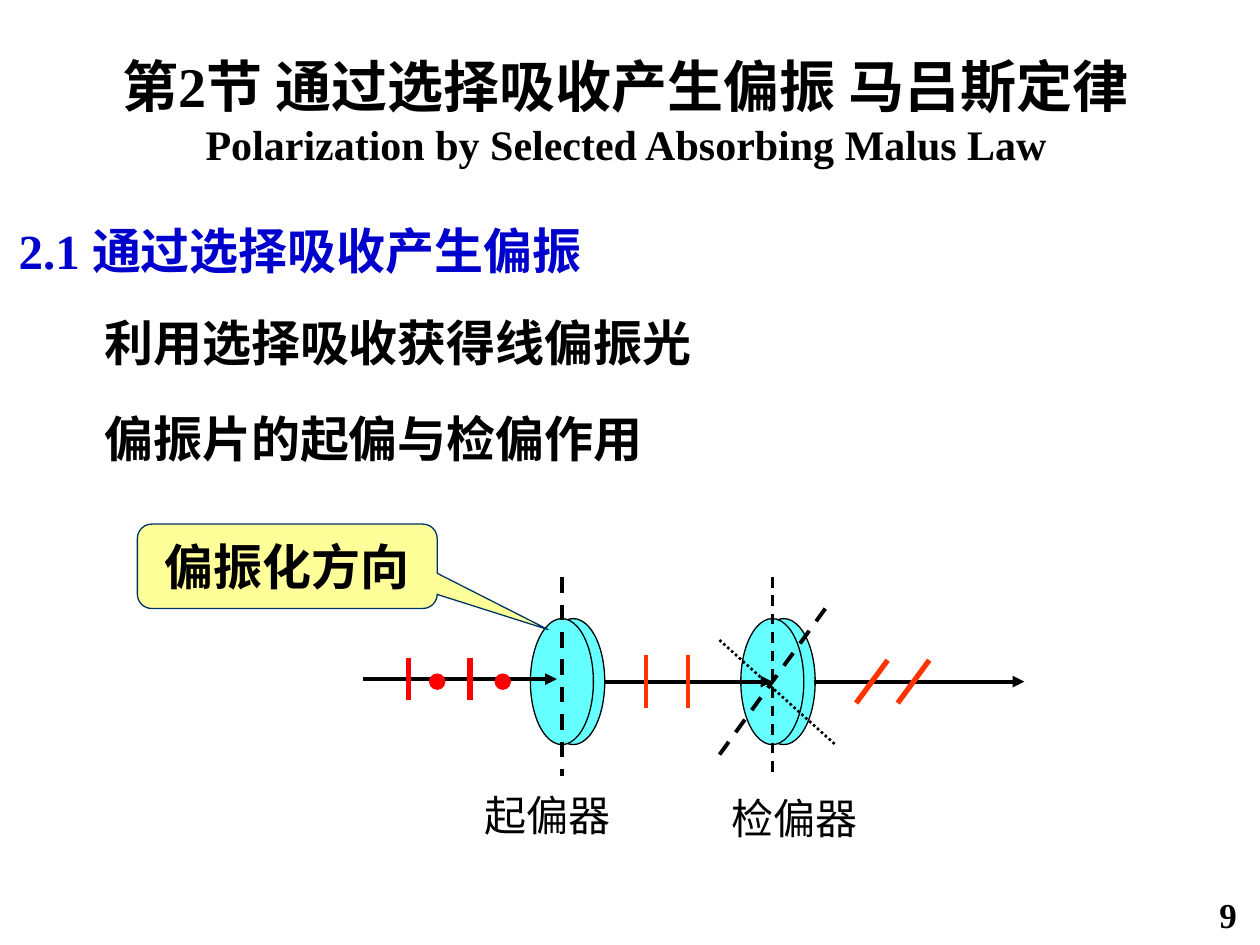
from dataclasses import dataclass
from math import cos, radians, sin

from lxml import etree
from pptx import Presentation
from pptx.dml.color import RGBColor
from pptx.enum import dml, shapes, text
from pptx.oxml import ns
from pptx.util import Inches, Pt


@dataclass(frozen=True)
class Theme:
    """Colours, fonts and type sizes of the slide."""
    ink: str = "000000"
    heading: str = "0000CC"
    disc: str = "66FFFF"
    note: str = "FFFF99"
    note_edge: str = "003366"
    natural: str = "FF0000"
    polarized: str = "FF3300"
    serif: str = "Times New Roman"
    sans: str = "Calibri"
    title: int = 32
    body: int = 28
    label: int = 24
    number: int = 20


THEME = Theme()
DASH = dml.MSO_LINE.DASH
DOT = dml.MSO_LINE.ROUND_DOT


def style_runs(p, size, font, color=THEME.ink, bold=True):
    """Format every run of a paragraph."""
    for r in p.runs:
        r.font.size = Pt(size)
        r.font.name = font
        r.font.bold = bold
        r.font.color.rgb = RGBColor.from_string(color)


def add_text(slide, box, words, size, font, color=THEME.ink, bold=True):
    """Place one paragraph of text in a box and return the paragraph."""
    tf = slide.shapes.add_textbox(*map(Inches, box)).text_frame
    tf.word_wrap = True
    p = tf.paragraphs[0]
    p.text = words
    style_runs(p, size, font, color, bold)
    return p


def add_filled(slide, kind, box, fill, edge):
    """Place a preset shape with a thin outline."""
    sp = slide.shapes.add_shape(kind, *map(Inches, box))
    sp.shadow.inherit = False
    sp.fill.solid()
    sp.fill.fore_color.rgb = RGBColor.from_string(fill)
    sp.line.color.rgb = RGBColor.from_string(edge)
    sp.line.width = Pt(0.75)
    return sp


def add_line(slide, start, end, color=THEME.ink, width=2.25, dash=None, arrow=False):
    """Draw a straight line, dashed or with an arrowhead if asked."""
    sp = slide.shapes.add_connector(
        shapes.MSO_CONNECTOR.STRAIGHT, *map(Inches, (*start, *end)))
    sp.line.color.rgb = RGBColor.from_string(color)
    sp.line.width = Pt(width)
    if dash:
        sp.line.dash_style = dash
    if arrow:
        etree.SubElement(sp.line._get_or_add_ln(), ns.qn("a:tailEnd"), type="triangle")
    etree.SubElement(sp._element.spPr, ns.qn("a:effectLst"))


def add_title(slide, box):
    """Place the centred two-language section title."""
    p = add_text(slide, box,
                 "第2节 通过选择吸收产生偏振 马吕斯定律\vPolarization by Selected Absorbing Malus Law",
                 THEME.title, THEME.serif)
    p.alignment = text.PP_ALIGN.CENTER
    p.runs[-1].font.size = Pt(THEME.label)


def add_outline(slide, left, top, width):
    """Place the numbered heading and the two points beneath it."""
    add_text(slide, (left, top, width, 0.57), "2.1 通过选择吸收产生偏振",
             THEME.body, THEME.serif, THEME.heading)
    for i, words in enumerate(("利用选择吸收获得线偏振光", "偏振片的起偏与检偏作用")):
        add_text(slide, (left + 0.68, top + 0.73 + 0.76 * i, width - 0.66, 0.57),
                 words, THEME.body, THEME.sans)


def add_polarizer(slide, left, top):
    """Draw a thick disc as two overlapping ellipses."""
    for dx in (0.09, 0):
        add_filled(slide, shapes.MSO_SHAPE.OVAL, (left + dx, top, 0.5, 1),
                   THEME.disc, THEME.ink)


def add_angle(slide, x, y, radius, sweep):
    """Draw the arc from the vertical axis to the tilted axis."""
    points = [(x + radius * sin(radians(a)), y - radius * cos(radians(a)))
              for a in range(0, sweep + 1, 3)]
    builder = slide.shapes.build_freeform(*points[0], scale=Inches(1))
    builder.add_line_segments(points[1:], close=False)
    sp = builder.convert_to_shape()
    sp.shadow.inherit = False
    sp.fill.background()
    sp.line.color.rgb = RGBColor.from_string(THEME.polarized)
    sp.line.width = Pt(2.25)


def add_beam(slide, left, right, y, ticks, half, slant=0, color=THEME.polarized, width=3):
    """Draw a light ray with strokes that show its vibration."""
    add_line(slide, (left, y), (right, y), arrow=True)
    for x in ticks:
        add_line(slide, (x + slant, y - half), (x - slant, y + half), color, width)


def add_bench(slide, left, top):
    """Draw the polarizer, the analyser and the light passing through them."""
    y = top + 0.83
    first, second = left + 1.58, left + 3.25
    for x in (first, second):
        add_polarizer(slide, x - 0.25, y - 0.5)
    for x, width in ((first, 2.25), (second, 1.5)):
        add_line(slide, (x, top), (x, top + 1.58), width=width, dash=DASH)
    add_line(slide, (second + 0.42, y - 0.58), (second - 0.42, y + 0.58), dash=DASH)
    add_beam(slide, first + 0.34, second, y, (first + 0.67, first + 1), 0.21, width=2.25)
    add_beam(slide, second + 0.33, second + 2, y,
             (second + 0.79, second + 1.12), 0.17, slant=0.125)
    add_angle(slide, second, y, 0.57, 36)
    add_line(slide, (second - 0.42, y - 0.33), (second + 0.5, y + 0.5), width=1.5, dash=DOT)
    add_beam(slide, left, left + 1.54, y - 0.02, (left + 0.36, left + 0.85), 0.165,
             color=THEME.natural)
    for x in (left + 0.53, left + 1.05):
        add_filled(slide, shapes.MSO_SHAPE.OVAL, (x, y - 0.06, 0.12, 0.12),
                   THEME.natural, THEME.natural)
    for x, dy, words in ((first - 0.71, 1.64, "起偏器"), (second - 0.42, 1.66, "检偏器")):
        add_text(slide, (x, top + dy, 2.3, 0.5), words, THEME.label, THEME.sans, bold=False)


def add_callout(slide, box):
    """Place the callout that names the polarizing direction."""
    sp = add_filled(slide, shapes.MSO_SHAPE.ROUNDED_RECTANGULAR_CALLOUT, box,
                    THEME.note, THEME.note_edge)
    for i, value in enumerate((0.87, 0.75, 0.17)):
        sp.adjustments[i] = value
    tf = sp.text_frame
    tf.vertical_anchor = text.MSO_ANCHOR.MIDDLE
    p = tf.paragraphs[0]
    p.text = "偏振化方向"
    p.alignment = text.PP_ALIGN.CENTER
    style_runs(p, THEME.body, THEME.sans)


def main():
    """Build the slide and save it."""
    prs = Presentation()
    prs.slide_width, prs.slide_height = Inches(10), Inches(7.5)
    slide = prs.slides.add_slide(prs.slide_layouts[6])
    add_title(slide, (0.29, 0.36, 9.36, 1.04))
    add_outline(slide, 0.05, 1.7, 5.83)
    add_bench(slide, 2.88, 4.58)
    add_callout(slide, (1.09, 4.16, 2.38, 0.67))
    add_text(slide, (9.58, 7.04, 0.39, 0.44), "9", THEME.number, THEME.serif)
    prs.save("out.pptx")


if __name__ == "__main__":
    main()
